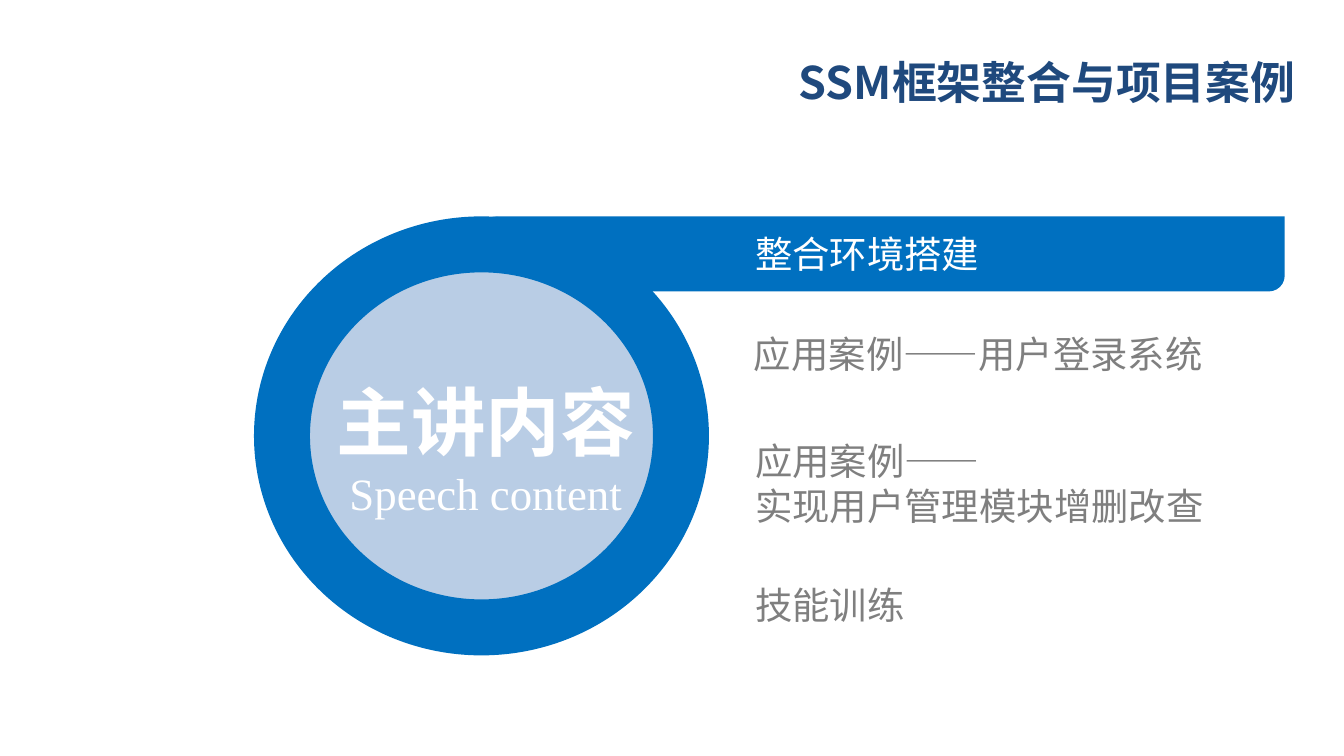
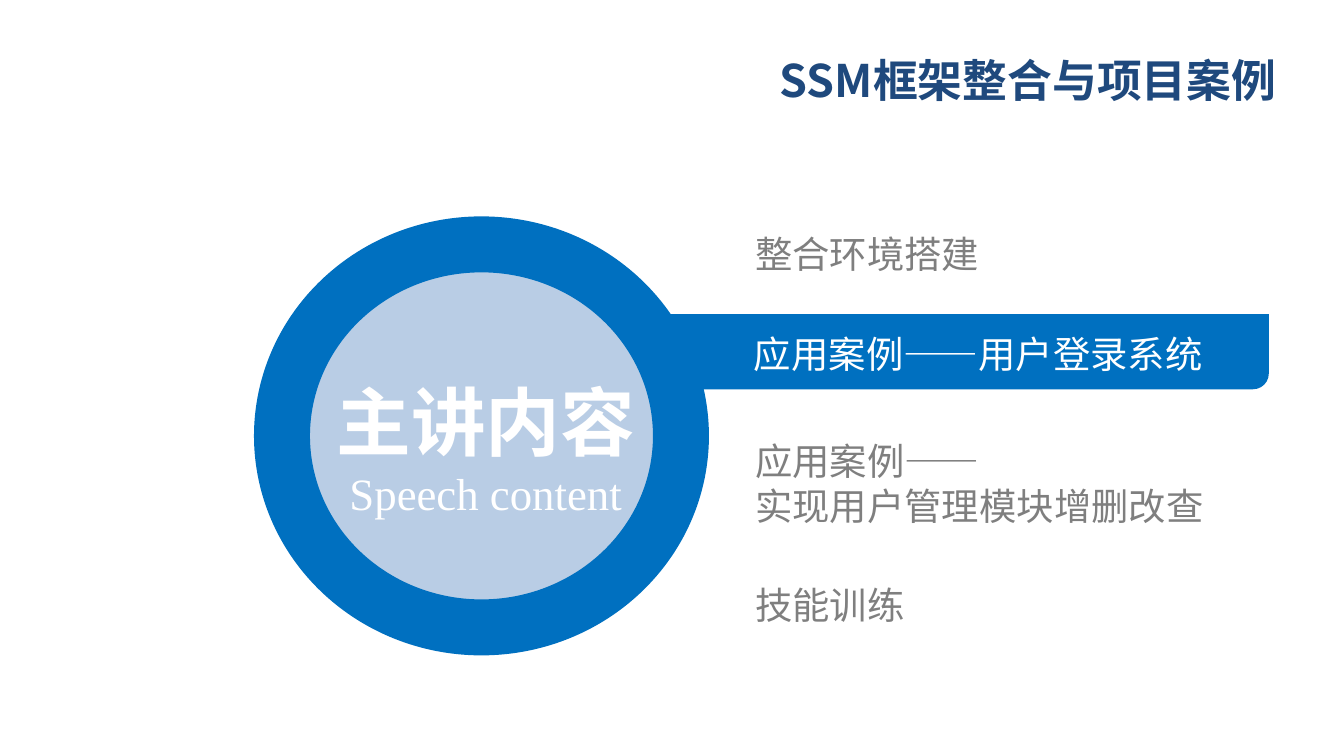
from pptx import Presentation
from pptx.dml.color import RGBColor
from pptx.enum.shapes import MSO_SHAPE
from pptx.enum.text import MSO_ANCHOR, MSO_AUTO_SIZE, PP_ALIGN
from pptx.oxml.ns import qn
from pptx.util import Cm, Pt
from lxml.etree import SubElement

# Shared look
BLUE, PALE, NAVY = "0070C0", "B9CDE5", "1F497D"
WHITE, GREY = "FFFFFF", "7F7F7F"
SANS, SERIF = "Noto Sans CJK SC", "Times New Roman"

# Topics: text and left, top, width, height in cm
TOPICS = [
    ("整合环境搭建", (14.27, 4.37, 9.22, 0.86)),
    ("应用案例——用户登录系统", (14.25, 6.25, 9.22, 0.86)),
    ("应用案例——\n实现用户管理模块增删改查", (14.27, 8.28, 9.7, 1.7)),
    ("技能训练", (14.27, 11, 10.46, 0.86)),
]

# Each page: highlighted topic, title corner and bar corner in cm
PAGES = [
    (0, (14.25, 0.74), (9.09, 4.09)),
    (1, (13.89, 0.71), (8.79, 5.94)),
]


def color(value):
    return RGBColor.from_string(value)


def lengths(numbers):
    return [Cm(number) for number in numbers]


def format_para(para, size, ink, font=SANS, bold=False, align=PP_ALIGN.LEFT):
    para.alignment = align
    for span in para.runs:
        span.font.size = Pt(size)
        span.font.bold = bold
        span.font.color.rgb = color(ink)
        span.font.name = font
        # East Asian characters take their font from a separate element
        properties = span.font._element
        east_asian = SubElement(properties, qn("a:ea"), typeface=font)
        properties.find(qn("a:latin")).addnext(east_asian)


def set_frame(frame, side, edge, auto_size):
    frame.word_wrap = True
    frame.auto_size = auto_size
    frame.vertical_anchor = MSO_ANCHOR.MIDDLE
    frame.margin_left = frame.margin_right = Cm(side)
    frame.margin_top = frame.margin_bottom = Cm(edge)


def add_title(page, corner):
    title = page.shapes.title
    title.left, title.top, title.width, title.height = lengths((*corner, 10.46, 1.6))
    title.text_frame.text = "SSM框架整合与项目案例"
    set_frame(title.text_frame, 0.23, 0.1, MSO_AUTO_SIZE.NONE)
    format_para(title.text_frame.paragraphs[0], 24, NAVY, bold=True, align=PP_ALIGN.RIGHT)


def add_filled(shapes, kind, box, fill):
    shape = shapes.add_shape(kind, *lengths(box))
    shape.shadow.inherit = False
    shape.fill.solid()
    shape.fill.fore_color.rgb = color(fill)
    shape.line.fill.background()
    return shape


def add_bar(page, corner):
    bar = add_filled(page.shapes, MSO_SHAPE.ROUND_2_DIAG_RECTANGLE, (*corner, 15.19, 1.42), BLUE)
    bar.adjustments[0] = 0.21
    bar.adjustments[1] = 0


def add_ring(page):
    group = page.shapes.add_group_shape()
    ring = add_filled(group.shapes, MSO_SHAPE.OVAL, (5.33, 4.62, 7.54, 7.24), PALE)
    ring.line.color.rgb = color(BLUE)
    ring.line.width = Pt(30)

    label = group.shapes.add_textbox(*lengths((5.28, 6.2, 7.8, 3.68)))
    label.text_frame.text = "主讲内容\nSpeech content"
    set_frame(label.text_frame, 0.25, 0.13, MSO_AUTO_SIZE.SHAPE_TO_FIT_TEXT)
    heading, subtitle = label.text_frame.paragraphs
    format_para(heading, 40, WHITE, bold=True, align=PP_ALIGN.CENTER)
    heading.line_spacing = 1.5
    format_para(subtitle, 24, WHITE, font=SERIF, align=PP_ALIGN.CENTER)


def add_topic(page, text, box, ink):
    topic = page.shapes.add_textbox(*lengths(box))
    topic.text_frame.text = text
    set_frame(topic.text_frame, 0, 0, MSO_AUTO_SIZE.SHAPE_TO_FIT_TEXT)
    for para in topic.text_frame.paragraphs:
        format_para(para, 20, ink)


def add_agenda(deck, current, title_corner, bar_corner):
    page = deck.slides.add_slide(deck.slide_layouts[0])
    subtitle = page.placeholders[1].element
    subtitle.getparent().remove(subtitle)
    add_title(page, title_corner)
    add_bar(page, bar_corner)
    add_ring(page)
    for index, (text, box) in enumerate(TOPICS):
        add_topic(page, text, box, WHITE if index == current else GREY)


def main():
    deck = Presentation()
    deck.slide_width, deck.slide_height = lengths((25.4, 14.29))
    for current, title_corner, bar_corner in PAGES:
        add_agenda(deck, current, title_corner, bar_corner)
    deck.save("out.pptx")


if __name__ == "__main__":
    main()
